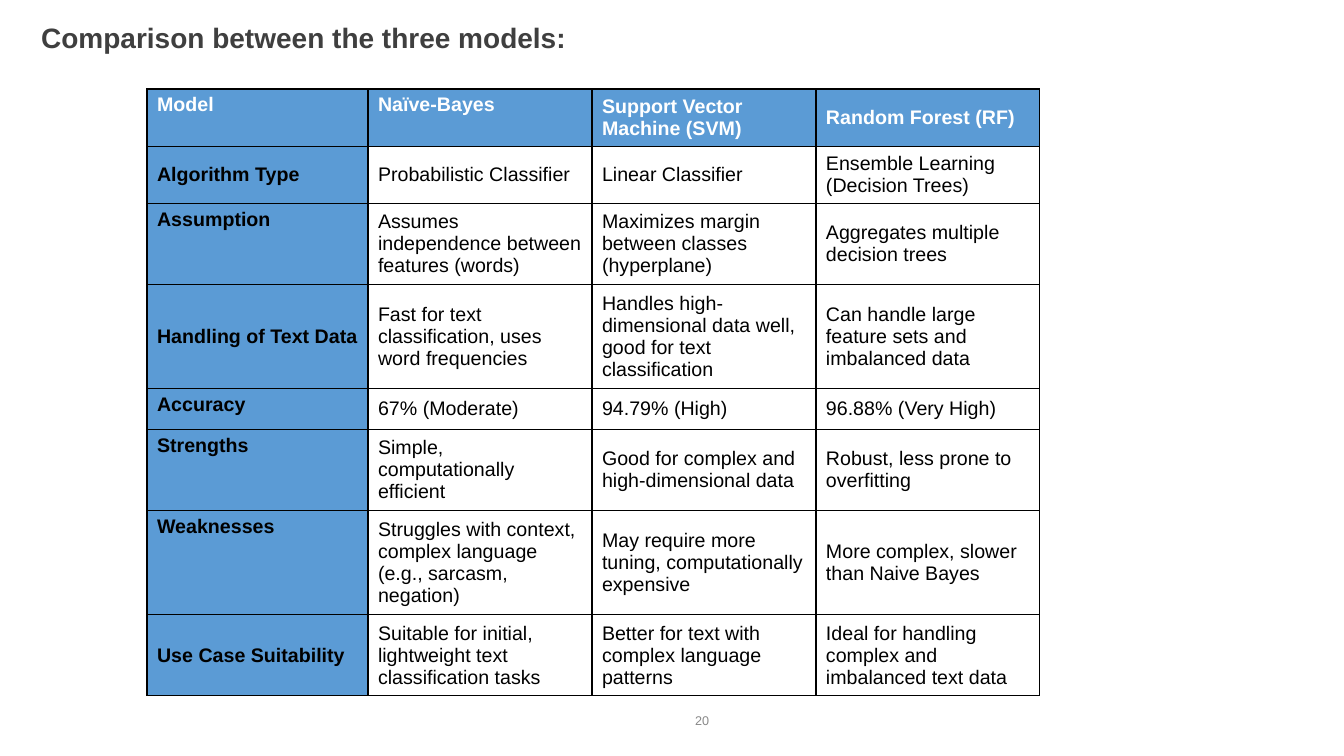
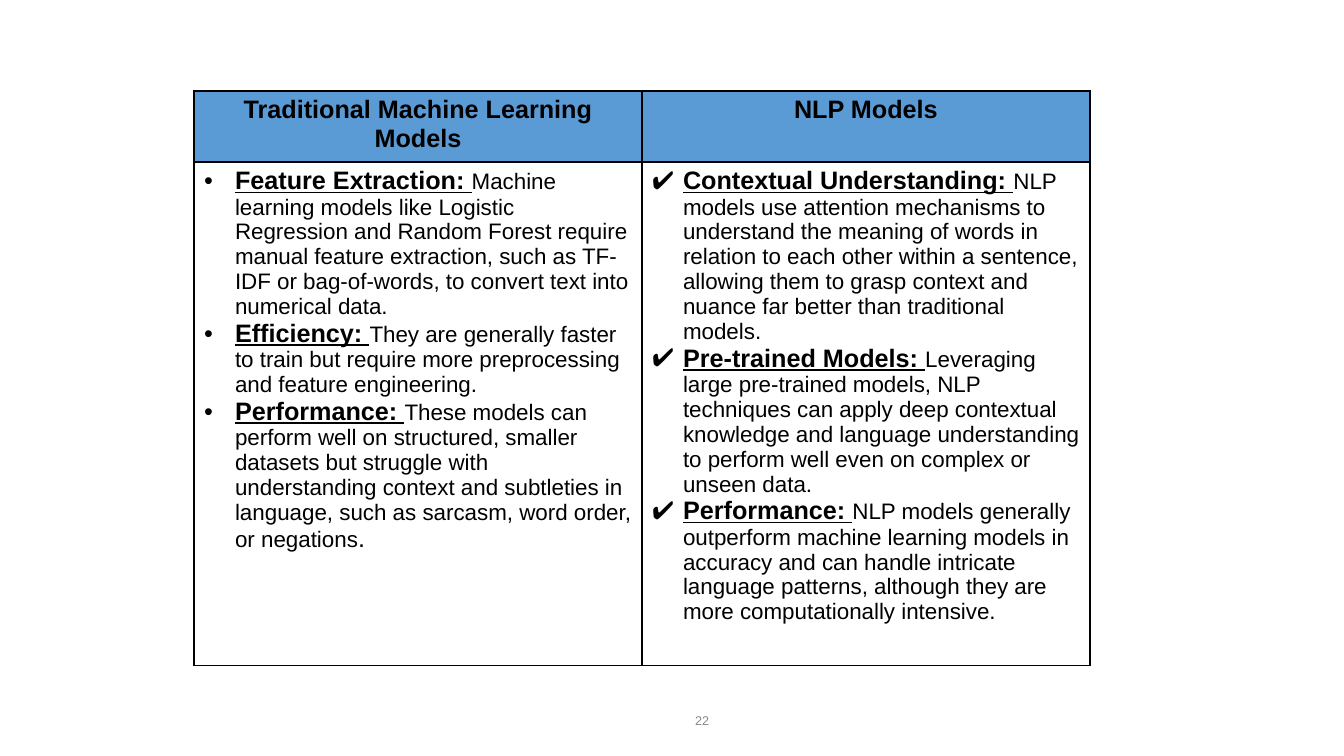
import pptx
import pptx.dml.color
import pptx.enum.text
import pptx.util
from lxml import etree
from pptx.oxml.ns import qn

# Shared style
PX = 914400 / 100.8
FONT = "Arial"
BLUE, WHITE, BLACK = "5B9BD5", "FFFFFF", "000000"
TITLE_COLOR, NUMBER_COLOR = "3F3F3F", "888888"
ALIGN = pptx.enum.text.PP_ALIGN
ANCHOR = pptx.enum.text.MSO_ANCHOR
TITLE_LAYOUT, BLANK_LAYOUT = 5, 6

# Content: model comparison
COMPARISON_TITLE = "Comparison between the three models:"
COMPARISON_COLUMNS = [221, 224, 224, 224]
COMPARISON_ROWS = [
    (57, ["Model", "Naïve-Bayes", "Support Vector Machine (SVM)", "Random Forest (RF)"]),
    (57, ["Algorithm Type", "Probabilistic Classifier", "Linear Classifier",
          "Ensemble Learning (Decision Trees)"]),
    (81, ["Assumption", "Assumes independence between features (words)",
          "Maximizes margin between classes (hyperplane)",
          "Aggregates multiple decision trees"]),
    (104, ["Handling of Text Data", "Fast for text classification, uses word frequencies",
           "Handles high-dimensional data well, good for text classification",
           "Can handle large feature sets and imbalanced data"]),
    (41, ["Accuracy", "67% (Moderate)", "94.79% (High)", "96.88% (Very High)"]),
    (81, ["Strengths", "Simple, computationally efficient",
          "Good for complex and high-dimensional data",
          "Robust, less prone to overfitting"]),
    (104, ["Weaknesses", "Struggles with context, complex language (e.g., sarcasm, negation)",
           "May require more tuning, computationally expensive",
           "More complex, slower than Naive Bayes"]),
    (81, ["Use Case Suitability", "Suitable for initial, lightweight text classification tasks",
          "Better for text with complex language patterns",
          "Ideal for handling complex and imbalanced text data"]),
]
TOP_LABELS = {"Model", "Naïve-Bayes", "Assumption", "Accuracy", "Strengths", "Weaknesses"}

# Content: approaches, as (heading, bullet, points); a point is (lead, body, large ending)
APPROACHES = [
    ("Traditional Machine Learning Models", "•", [
        ("Feature Extraction: ",
         "Machine learning models like Logistic Regression and Random Forest require manual "
         "feature extraction, such as TF-IDF or bag-of-words, to convert text into "
         "numerical data.", ""),
        ("Efficiency: ",
         "They are generally faster to train but require more preprocessing and feature "
         "engineering.", ""),
        ("Performance: ",
         "These models can perform well on structured, smaller datasets but struggle with "
         "understanding context and subtleties in language, such as sarcasm, word order, "
         "or negations", "."),
    ]),
    ("NLP Models", "✔", [
        ("Contextual Understanding: ",
         "NLP models use attention mechanisms to understand the meaning of words in relation "
         "to each other within a sentence, allowing them to grasp context and nuance far "
         "better than traditional models.", ""),
        ("Pre-trained Models: ",
         "Leveraging large pre-trained models, NLP techniques can apply deep contextual "
         "knowledge and language understanding to perform well even on complex or unseen "
         "data.", ""),
        ("Performance: ",
         "NLP models generally outperform machine learning models in accuracy and can handle "
         "intricate language patterns, although they are more computationally intensive.", ""),
    ]),
]


def px(value):
    return pptx.util.Emu(round(value * PX))


def rgb(color):
    return pptx.dml.color.RGBColor.from_string(color)


def style(font, size, color=BLACK, bold=False):
    font.name, font.size, font.bold = FONT, pptx.util.Pt(size), bold
    font.color.rgb = rgb(color)


def write(frame, text, size, color=BLACK, bold=False, align=ALIGN.LEFT):
    paragraph = frame.paragraphs[0]
    paragraph.text = text
    paragraph.alignment = align
    style(paragraph.font, size, color, bold)


def add_slide(presentation, layout, number):
    slide = presentation.slides.add_slide(presentation.slide_layouts[layout])
    box = slide.shapes.add_textbox(px(610), px(701), px(109), px(40))
    frame = box.text_frame
    frame.word_wrap = True
    frame.vertical_anchor = ANCHOR.MIDDLE
    write(frame, str(number), 9, NUMBER_COLOR, align=ALIGN.RIGHT)
    return slide


def set_title(slide, text):
    title = slide.shapes.title
    title.left, title.top, title.width, title.height = px(31), px(15), px(672), px(44)
    frame = title.text_frame
    frame.word_wrap = True
    frame.auto_size = pptx.enum.text.MSO_AUTO_SIZE.NONE
    frame.vertical_anchor = ANCHOR.TOP
    write(frame, text, 20, TITLE_COLOR, bold=True)


def add_borders(cell, width):
    properties = cell._tc.get_or_add_tcPr()
    for side in ("a:lnL", "a:lnR", "a:lnT", "a:lnB"):
        line = etree.SubElement(properties, qn(side), w=str(pptx.util.Pt(width)))
        fill = etree.SubElement(line, qn("a:solidFill"))
        etree.SubElement(fill, qn("a:srgbClr"), val=BLACK)


def add_table(slide, left, top, columns, rows, border):
    frame = slide.shapes.add_table(len(rows), len(columns), px(left), px(top),
                                   px(sum(columns)), px(sum(rows)))
    table = frame.table
    table.first_row = table.horz_banding = False
    for column, width in zip(table.columns, columns):
        column.width = px(width)
    for row, height in zip(table.rows, rows):
        row.height = px(height)
    for cell in table.iter_cells():
        add_borders(cell, border)
    return table


def fill_cell(cell, color):
    cell.fill.solid()
    cell.fill.fore_color.rgb = rgb(color)


def add_bullet(paragraph, character):
    properties = paragraph._p.get_or_add_pPr()
    indent = px(31)
    properties.set("marL", str(indent))
    properties.set("indent", str(-indent))
    color = etree.SubElement(properties, qn("a:buClr"))
    etree.SubElement(color, qn("a:srgbClr"), val=BLACK)
    etree.SubElement(properties, qn("a:buFont"), typeface=FONT)
    etree.SubElement(properties, qn("a:buChar"), char=character)


def write_points(frame, bullet, points):
    for index, (lead, body, ending) in enumerate(points):
        paragraph = frame.add_paragraph() if index else frame.paragraphs[0]
        add_bullet(paragraph, bullet)
        for text, size, strong in ((lead, 18, True), (body, 16, False), (ending, 18, False)):
            if text:
                run = paragraph.add_run()
                run.text = text
                style(run.font, size, bold=strong)
                run.font.underline = strong


def build_comparison(presentation):
    slide = add_slide(presentation, TITLE_LAYOUT, 20)
    set_title(slide, COMPARISON_TITLE)
    heights = [height for height, _ in COMPARISON_ROWS]
    table = add_table(slide, 147, 89, COMPARISON_COLUMNS, heights, 1)
    for row, (_, texts) in enumerate(COMPARISON_ROWS):
        for column, text in enumerate(texts):
            cell = table.cell(row, column)
            label = row == 0 or column == 0
            fill_cell(cell, BLUE if label else WHITE)
            cell.vertical_anchor = ANCHOR.TOP if text in TOP_LABELS else ANCHOR.MIDDLE
            write(cell.text_frame, text, 14, BLACK if row else WHITE, bold=label)


def build_approaches(presentation):
    slide = add_slide(presentation, BLANK_LAYOUT, 22)
    table = add_table(slide, 194, 91, [448] * len(APPROACHES), [66, 468], 1.5)
    for column, (heading, bullet, points) in enumerate(APPROACHES):
        header, body = table.cell(0, column), table.cell(1, column)
        fill_cell(header, BLUE)
        write(header.text_frame, heading, 18, bold=True, align=ALIGN.CENTER)
        fill_cell(body, WHITE)
        write_points(body.text_frame, bullet, points)


def main():
    presentation = pptx.Presentation()
    presentation.slide_width, presentation.slide_height = px(1344), px(756)
    build_comparison(presentation)
    build_approaches(presentation)
    presentation.save("out.pptx")


if __name__ == "__main__":
    main()
